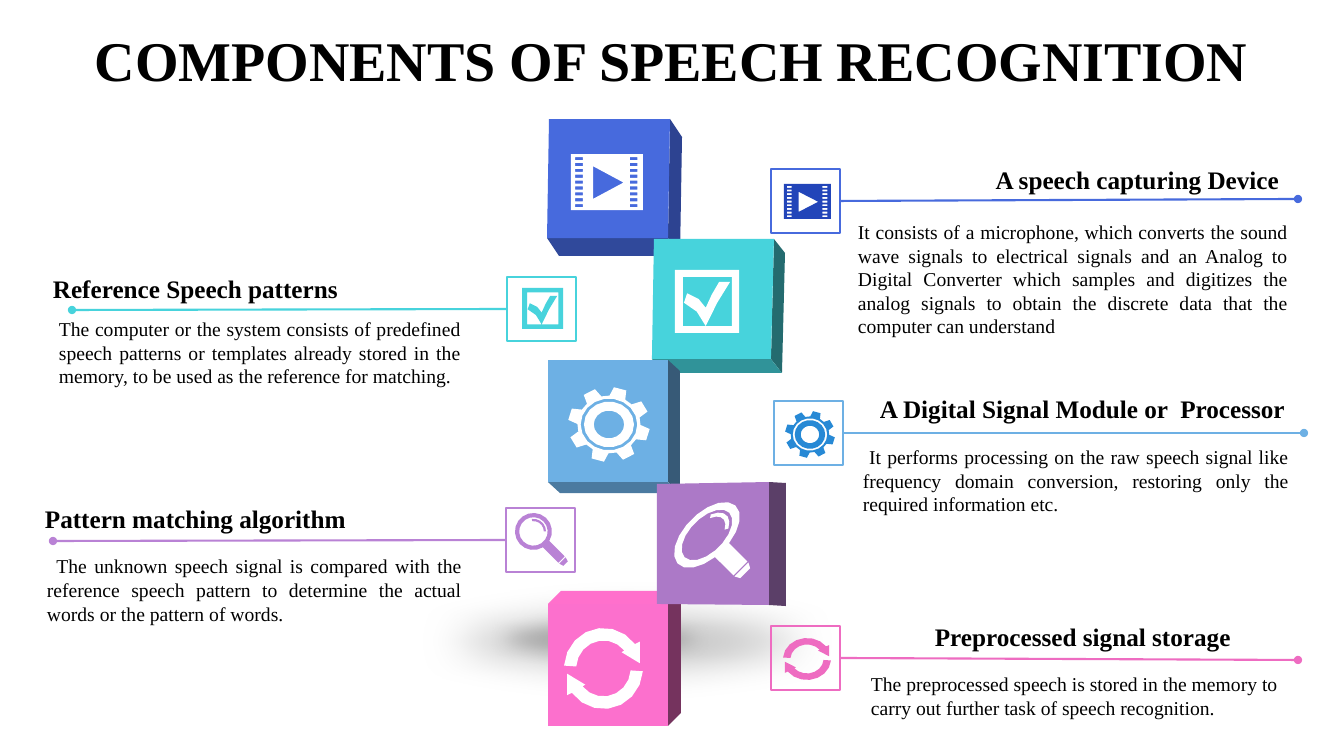
from math import cos, pi, radians, sin

from lxml.etree import SubElement
from pptx import Presentation
from pptx.dml.color import RGBColor
from pptx.enum.shapes import MSO_CONNECTOR, MSO_SHAPE
from pptx.enum.text import PP_ALIGN
from pptx.oxml.ns import qn
from pptx.util import Pt

PX = 914400 / 100.8
LEFT, RIGHT, FULL = PP_ALIGN.LEFT, PP_ALIGN.RIGHT, PP_ALIGN.JUSTIFY
TITLE = {"name": "Times New Roman", "size": Pt(40), "bold": True}
HEAD = {"name": "Times New Roman", "size": Pt(18), "bold": True}
BODY = {"name": "Times New Roman", "size": Pt(14), "bold": False}
GAP = {"name": "Arial", "size": Pt(18), "bold": False}


def emu(*nums):
    """Turn px lengths into EMU."""
    return [round(n * PX) for n in nums]


def tint(code):
    """Turn a hex string into a colour."""
    return RGBColor.from_string(code)


def paint(shape, code):
    """Give a shape a plain fill with no line or shadow."""
    shape.shadow.inherit = False
    shape.fill.solid()
    shape.fill.fore_color.rgb = tint(code)
    shape.line.fill.background()


def write(slide, box, runs, align=LEFT):
    """Place one paragraph of styled runs in a text box."""
    frame = slide.shapes.add_textbox(*emu(*box)).text_frame
    frame.word_wrap = True
    para = frame.paragraphs[0]
    para.alignment = align
    for text, style in runs:
        run = para.add_run()
        run.text = text
        run.font.color.rgb = tint("000000")
        for key, value in style.items():
            setattr(run.font, key, value)


def trace(slide, paths, code):
    """Draw closed px outlines as one filled shape."""
    paths = [[tuple(emu(*spot)) for spot in path] for path in paths]
    pen = slide.shapes.build_freeform(*paths[0][0], scale=1.0)
    for i, path in enumerate(paths):
        if i:
            pen.move_to(*path[0])
        pen.add_line_segments(path[1:], close=True)
    paint(pen.convert_to_shape(), code)


def arc(size, start=0, end=340, step=20):
    """List the points of an arc about the centre."""
    count = max(2, round(abs(end - start) / step))
    turns = [radians(start + (end - start) * i / count) for i in range(count + 1)]
    return [(size * cos(t), size * sin(t)) for t in turns]


def block(x, y, w, h):
    """List the corners of a rectangle."""
    return [(x, y), (x + w, y), (x + w, y + h), (x, y + h)]


def film():
    """Outline a film frame with a play sign."""
    holes = [block(x, -0.89 + 0.21 * i, 0.21, 0.11) for i in range(9) for x in (-0.88, 0.64)]
    return [block(-1, -1, 2, 2), [(-0.38, -0.56), (-0.38, 0.6), (0.46, 0.02)], *holes]


def check():
    """Outline a ticked box."""
    inner = [(-0.75, -0.78), (-0.75, 0.78), (-0.04, 0.78), (-0.32, 0.32), (-0.72, 0.04),
             (-0.62, -0.26), (-0.26, -0.08), (-0.04, 0.2), (0.15, -0.22), (0.38, -0.62),
             (0.72, -0.62), (0.32, 0.04), (-0.04, 0.78), (0.78, 0.78), (0.78, -0.78)]
    return [block(-1, -1, 2, 2), inner]


def gear():
    """Outline a wheel of eight teeth."""
    rim = []
    for mid in range(-74, 286, 45):
        for size, turn in ((0.77, -15), (1, -9), (1, 9), (0.77, 15)):
            rim.append((size * cos(radians(mid + turn)), size * sin(radians(mid + turn))))
    return [rim, arc(0.69), arc(0.61), arc(0.37)]


def cycle():
    """Outline two arrows that chase each other."""
    top = arc(1, 184, 323) + [(0.92, -0.66), (0.92, -0.13), (0.46, -0.4)] + arc(0.69, 320, 184)
    return [top, [(-x, -y) for x, y in top]]


def lens():
    """Outline a magnifier with its handle pointing down."""
    rim = arc(1, 104, 436) + [(0.24, 2.15), (-0.24, 2.15)]
    tip = [(0.24, 2.22), (0.17, 2.46), (-0.17, 2.46), (-0.24, 2.22)]
    shine = arc(0.68, -52, 45) + arc(0.56, 45, -52)
    return [rim, arc(0.77), shine, tip]


def icon(slide, box, kind, code):
    """Fit an icon to its box, with the magnifier tilted."""
    x, y, w, h = box
    turn = -pi / 4 if kind is lens else 0
    c, s = cos(turn), sin(turn)

    def place(p, q):
        """Move a point from the icon to the slide."""
        p, q = p * w / 2, q * h / 2
        return x + w / 2 + p * c - q * s, y + h / 2 + p * s + q * c

    trace(slide, [[place(*spot) for spot in path] for path in kind()], code)


def shade(slide, box, soft):
    """Draw a soft grey pool of shadow."""
    pool = slide.shapes.add_shape(MSO_SHAPE.OVAL, *emu(*box))
    paint(pool, "808080")
    props = pool._element.spPr
    SubElement(next(props.iter(qn("a:srgbClr"))), qn("a:alpha"), val="51000")
    SubElement(props.find(qn("a:effectLst")), qn("a:softEdge"), rad=str(emu(soft)[0]))


def cube(slide, face, depth, codes, kind, spot):
    """Draw a cube from its front face, depth and icon."""
    back = [(x + depth[0], y + depth[1]) for x, y in face]
    flat = (3, 2) if depth[1] > 0 else (0, 1)
    for (a, b), code in zip(((1, 2), flat), codes[1:]):
        trace(slide, [[face[a], face[b], back[b], back[a]]], code)
    trace(slide, [face], codes[0])
    icon(slide, spot, kind, "FFFFFF")


def panel(slide, box, code, kind, spot, dark, reach, head, body):
    """Draw a framed icon, its line, heading and text relative to a box."""
    x, y, w, h = box
    frame = slide.shapes.add_shape(MSO_SHAPE.RECTANGLE, *emu(*box))
    frame.shadow.inherit = False
    frame.fill.background()
    edge = x + w if reach[0] > 0 else x
    line = slide.shapes.add_connector(
        MSO_CONNECTOR.STRAIGHT, *emu(edge, y + h / 2, edge + reach[0], y + h / 2 + reach[1]))
    SubElement(line._element.spPr, qn("a:effectLst"))
    for part, width in ((frame, 2), (line, 1.5)):
        part.line.color.rgb = tint(code)
        part.line.width = Pt(width)
    SubElement(line.line._get_or_add_ln(), qn("a:tailEnd"), type="oval")
    icon(slide, (x + spot[0], y + spot[1], *spot[2:]), kind, dark)
    for (dx, dy, *size), runs, align in (head, body):
        write(slide, (x + dx, y + dy, *size), runs, align)


CUBES = [
    ([(549, 119), (670, 119), (668, 238), (547, 238)], (12, 18),
     ("476ADD", "2D4391", "30499B"), film, (571, 154, 72, 56)),
    ([(654, 239), (774, 239), (771, 359), (652, 359)], (11, 14),
     ("47D3DC", "246B6F", "309399"), check, (675, 270, 64, 63)),
    ([(548, 360), (668, 360), (668, 482), (548, 482)], (12, 11),
     ("6DB0E4", "375A77", "4B7AA0"), gear, (568, 387, 82, 75)),
    ([(548, 604), (668, 604), (668, 726), (548, 726)], (13, -13),
     ("FC70CD", "75335E", "FF70CC"), cycle, (564, 628, 79, 81)),
    ([(657, 484), (769, 482), (769, 605), (657, 604)], (17, 1),
     ("AC79C7", "5B3F68"), lens, (666, 513, 82, 44)),
]
PANELS = [
    ((771, 169), "476ADD", film, (13, 15, 47, 35), "2245B9", (458, -2),
     ((182, -10, 336, 40), [("A speech capturing Device", HEAD)], RIGHT),
     ((77, 46, 450, 129), [("It consists of a microphone, which converts the sound wave signals to electrical signals and an Analog to Digital Converter which samples and digitizes the analog signals to obtain the discrete data that the computer can understand", BODY)], FULL)),
    ((507, 277), "47D3DC", check, (15, 11, 41, 41), "47D3DC", (-435, 1),
     ((-464, -9, 392, 40), [("Reference Speech patterns", HEAD)], LEFT),
     ((-458, 35, 422, 82), [("The computer or the system consists of predefined speech patterns or templates already stored in the memory, to be used as the reference for matching.", BODY)], FULL)),
    ((774, 401), "6DB0E4", gear, (11, 10, 50, 47), "2789D5", (461, 0),
     ((50, -13, 471, 40), [("A Digital Signal Module or  Processor", HEAD)], RIGHT),
     ((79, 39, 446, 82), [(" It performs processing on the raw speech signal like frequency domain conversion, restoring only the required information etc.", BODY)], FULL)),
    ((506, 508), "B982D5", lens, (9, 5, 37, 37), "B982D5", (-453, 1),
     ((-471, -10, 355, 40), [("Pattern matching algorithm", HEAD)], LEFT),
     ((-469, 35, 435, 89), [(" ", GAP), ("The unknown speech signal is compared with the reference speech pattern to determine the actual words or the pattern of words.", BODY)], FULL)),
    ((771, 626), "EE6CC1", cycle, (12, 12, 48, 42), "EE6CC1", (458, 2),
     ((154, -10, 357, 40), [("Preprocessed signal storage", HEAD)], LEFT),
     ((90, 41, 433, 57), [("The preprocessed speech is stored in the memory to carry out further task of speech recognition.", BODY)], LEFT)),
]


def main():
    """Build the slide and save it."""
    deck = Presentation()
    deck.slide_width, deck.slide_height = emu(1344, 756)
    slide = deck.slides.add_slide(deck.slide_layouts[6])
    write(slide, (85, 21, 1174, 78), [("COMPONENTS OF SPEECH RECOGNITION", TITLE)])
    shade(slide, (360, 579, 535, 125), 38)
    shade(slide, (463, 607, 275, 64), 18)
    for parts in CUBES:
        cube(slide, *parts)
    for spot, *parts in PANELS:
        panel(slide, (*spot, 69, 64), *parts)
    deck.save("out.pptx")


if __name__ == "__main__":
    main()
